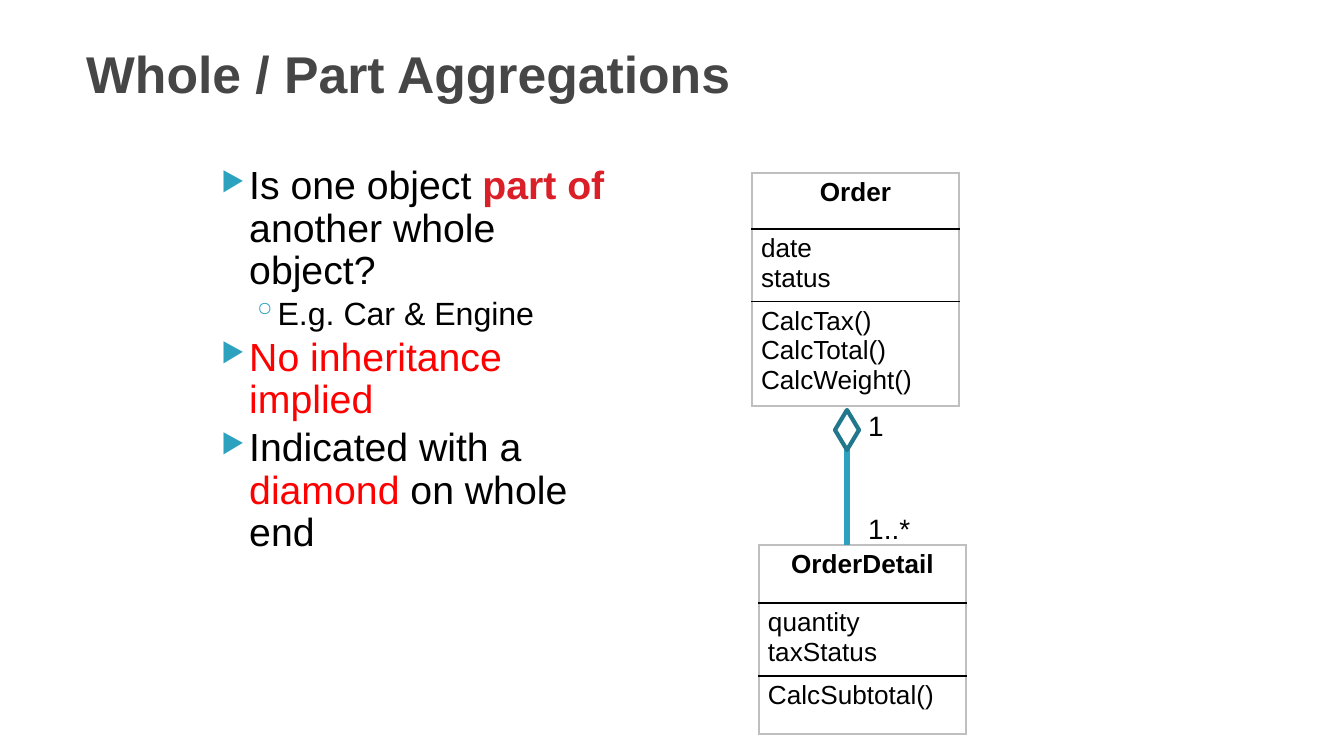
from lxml import etree
from pptx import Presentation
from pptx.dml.color import RGBColor
from pptx.enum.shapes import MSO_CONNECTOR as Link, MSO_SHAPE as Shape
from pptx.enum.text import MSO_ANCHOR as Anchor, PP_ALIGN as Align
from pptx.oxml import parse_xml
from pptx.oxml.ns import nsdecls, qn
from pptx.util import Pt

BLACK = RGBColor(0x00, 0x00, 0x00)
WHITE = RGBColor(0xFF, 0xFF, 0xFF)
GRAY = RGBColor(0xBF, 0xBF, 0xBF)
DARK = RGBColor(0x46, 0x46, 0x46)
RED = RGBColor(0xFF, 0x00, 0x00)
ROSE = RGBColor(0xDA, 0x1F, 0x28)
BLUE = RGBColor(0x2D, 0xA2, 0xBF)
TEAL = RGBColor(0x21, 0x78, 0x8D)
PX = 914400 / 134.4


def px(*sizes):
    """Turn pixel lengths into EMU."""
    return [round(size * PX) for size in sizes]


def write(para, text, size=14, color=BLACK, bold=False, align=Align.LEFT):
    para.alignment = align
    run = para.add_run()
    run.text = text
    font = run.font
    font.name, font.size, font.bold = "Arial", Pt(size), bold
    font.color.rgb = color


deck = Presentation()
deck.slide_width, deck.slide_height = px(1344, 756)
slide = deck.slides.add_slide(deck.slide_layouts[6])
shapes = slide.shapes

# Title
frame = shapes.add_textbox(*px(73, 47, 857, 51)).text_frame
frame.word_wrap = True
frame.vertical_anchor = Anchor.MIDDLE
write(frame.paragraphs[0], "Whole / Part Aggregations", size=27.7, color=DARK, bold=True)

# Bullet list: level, then runs of text with their format
points = [
    (0, [("Is one object ", {}), ("part of ", {"color": ROSE, "bold": True}),
         ("another whole object?", {})]),
    (1, [("E.g. Car & Engine", {})]),
    (0, [("No inheritance implied", {"color": RED})]),
    (0, [("Indicated with a ", {}), ("diamond", {"color": RED}), (" on whole end", {})]),
]
# Per level: text size, space before, left margin, indent, bullet, bullet percent
levels = [(21, 3, 40, -28, "▶", 68), (17.2, 2.4, 68, -25, "◦", 100)]
frame = shapes.add_textbox(*px(196, 156, 437, 516)).text_frame
frame.word_wrap = True
frame.margin_top = px(10)[0]
for i, (level, runs) in enumerate(points):
    size, gap, left, indent, mark, scale = levels[level]
    para = frame.add_paragraph() if i else frame.paragraphs[0]
    para.level = level
    props = para._p.get_or_add_pPr()
    props.set("marL", str(px(left)[0]))
    props.set("indent", str(px(indent)[0]))
    tint = etree.SubElement(props, qn("a:buClr"))
    etree.SubElement(tint, qn("a:srgbClr"), val=str(BLUE))
    etree.SubElement(props, qn("a:buSzPct"), val=str(scale * 1000))
    etree.SubElement(props, qn("a:buChar"), char=mark)
    para.line_spacing = 0.9
    if i:
        para.space_before = Pt(gap)
    for text, style in runs:
        write(para, text, size=size, **style)

# Class boxes: left, top, then row height and lines of text
classes = [
    (759, 545, [(58, ["OrderDetail"]), (70, ["quantity", "taxStatus"]),
                (58, ["CalcSubtotal()"])]),
    (752, 173, [(56, ["Order"]), (70, ["date", "status"]),
                (101, ["CalcTax()", "CalcTotal()", "CalcWeight()"])]),
]
for left, top, rows in classes:
    high = sum(row[0] for row in rows)
    table = shapes.add_table(len(rows), 1, *px(left, top, 207, high)).table
    table.horz_banding = False
    for i, (high, lines) in enumerate(rows):
        table.rows[i].height = px(high)[0]
        cell = table.cell(i, 0)
        cell.margin_left = cell.margin_right = px(9)[0]
        cell.margin_top = cell.margin_bottom = px(5)[0]
        for j, line in enumerate(lines):
            para = cell.text_frame.add_paragraph() if j else cell.text_frame.paragraphs[0]
            write(para, line, bold=i == 0, align=Align.LEFT if i else Align.CENTER)
        above = BLACK if i else GRAY
        below = BLACK if i < len(rows) - 1 else GRAY
        props = cell._tc.get_or_add_tcPr()
        for side, color in zip("LRTB", (GRAY, GRAY, above, below)):
            props.append(parse_xml(
                f'<a:ln{side} {nsdecls("a")} w="12700"><a:solidFill>'
                f'<a:srgbClr val="{color}"/></a:solidFill></a:ln{side}>'))
        cell.fill.background()

# Aggregation link, its counts and the diamond
link = shapes.add_connector(Link.STRAIGHT, *px(847, 545, 847, 410))
link.line.color.rgb = BLUE
link.line.width = Pt(3)
etree.SubElement(link._element.spPr, qn("a:effectLst"))

frame = shapes.add_textbox(*px(855, 402, 70, 149)).text_frame
frame.word_wrap = False
write(frame.paragraphs[0], "1", size=15)
para = frame.add_paragraph()
para.space_before = Pt(37)
write(para, "1..*", size=15)

gem = shapes.add_shape(Shape.FLOWCHART_DECISION, *px(835, 410, 24, 40))
gem.shadow.inherit = False
gem.fill.solid()
gem.fill.fore_color.rgb = WHITE
gem.line.color.rgb = TEAL
gem.line.width = Pt(2.25)

deck.save("out.pptx")
